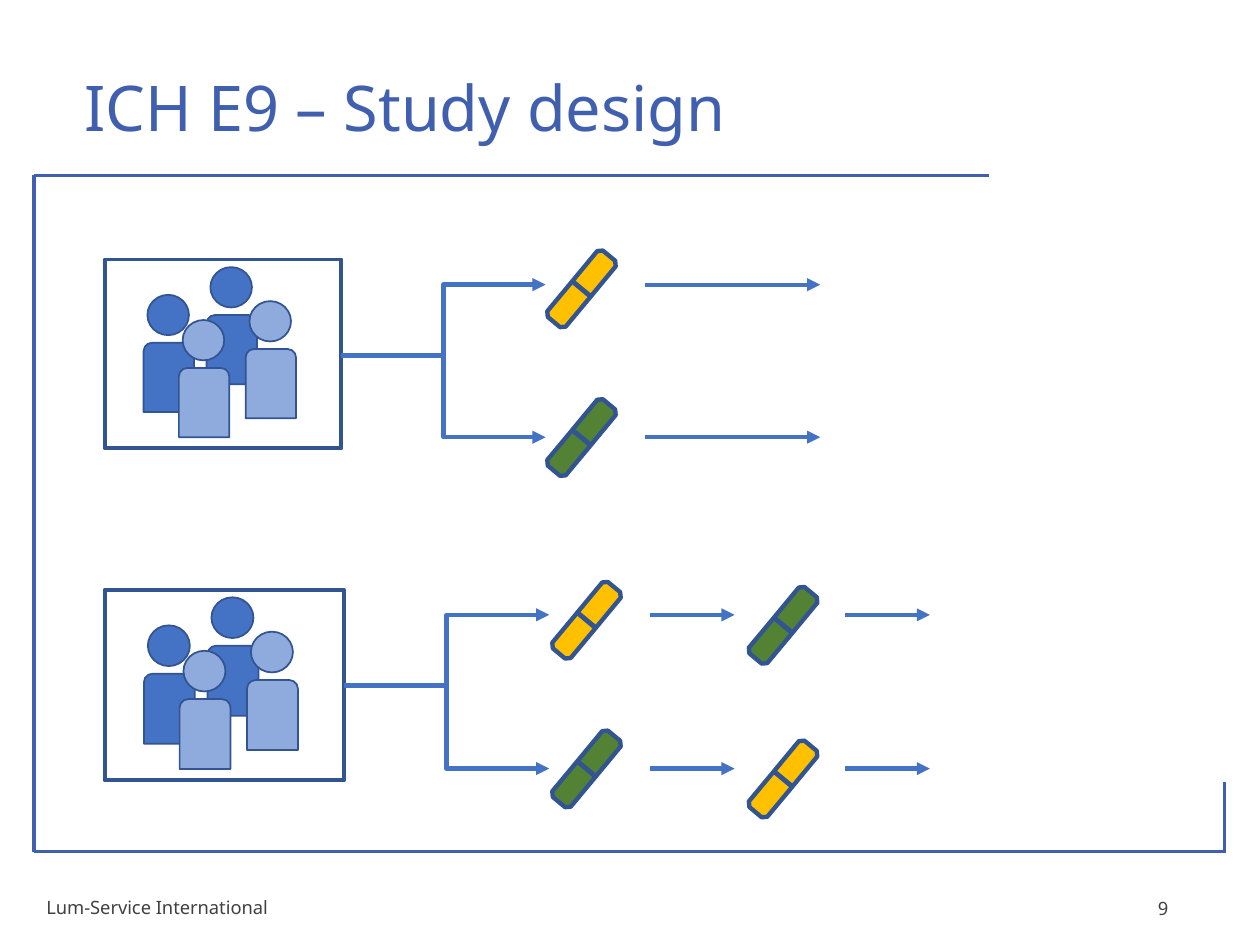
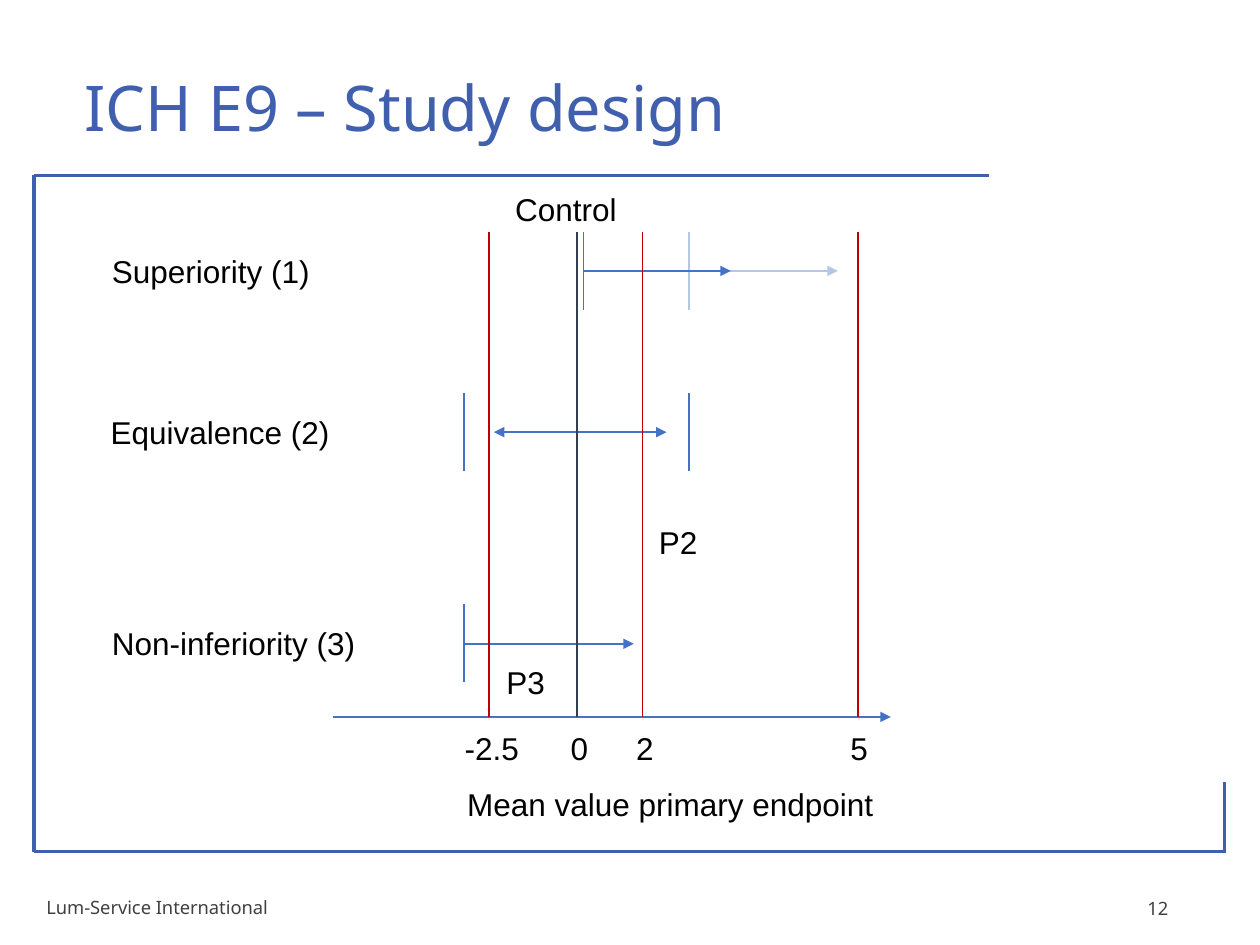
from lxml.etree import SubElement as Sub
from pptx import Presentation
from pptx.dml.color import RGBColor
from pptx.enum.shapes import MSO_CONNECTOR as Link, MSO_SHAPE as Geo
from pptx.enum.text import MSO_ANCHOR as Anchor, PP_ALIGN as Align
from pptx.oxml.ns import qn
from pptx.util import Inches, Pt

# Shared colours
FRAME = "4060AF"
GREY = "404040"
BLUE = "4472C4"
PALE = "8FAADC"
FAINT = "B4C7E7"
EDGE = "325491"
GOLD = "FFC000"
GREEN = "548235"
RED = "C00000"
SLATE = "333F50"


def color(code):
    return RGBColor.from_string(code)


def text(slide, words, x, y, w, h=0.4, *, font="Arial", size=18, ink="000000",
         align=Align.LEFT, anchor=Anchor.TOP, wrap=False, space=1.0):
    box = slide.shapes.add_textbox(Inches(x), Inches(y), Inches(w), Inches(h))
    frame = box.text_frame
    frame.word_wrap = wrap
    frame.vertical_anchor = anchor
    para = frame.paragraphs[0]
    para.alignment = align
    para.line_spacing = space
    run = para.add_run()
    run.text = words
    run.font.name = font
    run.font.size = Pt(size)
    run.font.color.rgb = color(ink)


def shape(slide, geo, x, y, w, h, fill=None, width=1, turn=0):
    item = slide.shapes.add_shape(geo, Inches(x), Inches(y), Inches(w), Inches(h))
    item.shadow.inherit = False
    item.rotation = turn
    if fill:
        item.fill.solid()
        item.fill.fore_color.rgb = color(fill)
    else:
        item.fill.background()
    item.line.color.rgb = color(EDGE)
    item.line.width = Pt(width)


def line(slide, x1, y1, x2, y2, ink=BLUE, width=1, ends=(), kind=Link.STRAIGHT):
    item = slide.shapes.add_connector(
        kind, Inches(x1), Inches(y1), Inches(x2), Inches(y2))
    item.line.color.rgb = color(ink)
    item.line.width = Pt(width)
    props = item.element.spPr
    for end in ends:
        Sub(props.find(qn("a:ln")), qn(f"a:{end}"), type="triangle")
    Sub(props, qn("a:effectLst"))


def arrow(slide, x1, y1, x2, y2, ink=BLUE, width=1, kind=Link.STRAIGHT):
    line(slide, x1, y1, x2, y2, ink, width, ["tailEnd"], kind)


def base(deck, number):
    """Add a slide with the frame, title and footer that all slides share."""
    slide = deck.slides.add_slide(deck.slide_layouts[6])
    for ends in ((0.27, 1.39, 7.85, 1.39), (0.27, 6.76, 9.71, 6.76),
                 (0.27, 1.39, 0.27, 6.76), (9.72, 6.77, 9.72, 6.21)):
        line(slide, *ends, FRAME, 1.75)
    look = dict(font="Noto Sans", anchor=Anchor.MIDDLE, wrap=True)
    text(slide, "ICH E9 – Study design", 0.57, 0.51, 7.12, 0.75,
         size=36, ink=FRAME, space=0.9, **look)
    look.update(size=10.5, ink=GREY)
    text(slide, "Lum-Service International", 0.27, 7, 3.38, **look)
    text(slide, str(number), 7.12, 7.01, 2.25, align=Align.RIGHT, **look)
    return slide


def crowd(slide, x, y, scale):
    """Draw four people in a box."""
    people = ((0.31, 0.66, BLUE), (0.81, 0.44, BLUE),
              (0.59, 0.86, PALE), (1.12, 0.71, PALE))
    for dx, dy, fill in people:
        left, top = x + dx * scale, y + dy * scale
        shape(slide, Geo.ROUND_2_SAME_RECTANGLE, left, top,
              0.4 * scale, 0.55 * scale, fill)
        shape(slide, Geo.OVAL, left + 0.03, top - 0.38 * scale,
              0.33 * scale, 0.32 * scale, fill)
    shape(slide, Geo.RECTANGLE, x, y, 1.88 * scale, 1.5 * scale, width=2.25)


def split(slide, x, y, tip, rows):
    """Branch from a crowd to its two study arms."""
    for row in rows:
        arrow(slide, x, y, tip, row, width=2.5, kind=Link.ELBOW)


def pill(slide, x, y, fill):
    for dx, dy, turn in ((0, 0, 39.6), (-0.22, 0.265, 219.8)):
        shape(slide, Geo.SNIP_2_SAME_RECTANGLE, x + dx, y + dy,
              0.19, 0.34, fill, 2.5, turn)


def arms(deck):
    slide = base(deck, 9)

    # Parallel groups
    rows = (2.26, 3.47)
    crowd(slide, 0.83, 2.06, 1)
    split(slide, 2.71, 2.82, 4.33, rows)
    pill(slide, 4.63, 1.99, GOLD)
    pill(slide, 4.63, 3.17, GREEN)
    for row in rows:
        arrow(slide, 5.12, row, 6.51, row, width=2.5)

    # Crossover groups
    rows = (4.88, 6.1)
    crowd(slide, 0.83, 4.68, 1.01)
    split(slide, 2.73, 5.44, 4.36, rows)
    for x, y, fill in ((4.67, 4.62, GOLD), (4.67, 5.8, GREEN),
                       (6.23, 4.66, GREEN), (6.23, 5.88, GOLD)):
        pill(slide, x, y, fill)
    for row in rows:
        for x in (5.16, 6.71):
            arrow(slide, x, row, x + 0.67, row, width=2.5)


def ranges(deck):
    slide = base(deck, 12)
    top, axis = 1.84, 5.69

    # Interval limits
    for x, y, ink in ((5.47, top, FAINT), (4.63, top, BLUE), (5.47, 3.12, BLUE),
                      (3.68, 3.12, BLUE), (3.68, 4.79, BLUE)):
        line(slide, x, y, x, y + 0.62, ink)

    # Intervals
    arrow(slide, 5.49, 2.15, 6.65, 2.15, FAINT)
    arrow(slide, 4.63, 2.15, 5.8, 2.15)
    line(slide, 3.92, 3.43, 5.29, 3.43, ends=("headEnd", "tailEnd"))
    arrow(slide, 3.69, 5.11, 5.03, 5.11)

    # Axis with its marks
    arrow(slide, 2.64, axis, 7.07, axis)
    for x, ink in ((4.58, SLATE), (6.81, RED), (5.1, RED), (3.88, RED)):
        line(slide, x, top, x, axis, ink)
    for mark, x, w in (("-2.5", 3.59, 0.64), ("0", 4.43, 0.34),
                       ("2", 4.95, 0.34), ("5", 6.65, 0.34)):
        text(slide, mark, x, 5.74, w)

    # Labels
    for words, x, y, w in (("Mean value primary endpoint", 3.61, 6.18, 3.46),
                           ("Control", 3.99, 1.46, 1.02),
                           ("Superiority (1)", 0.79, 1.95, 1.79),
                           ("Equivalence (2)", 0.78, 3.23, 1.96),
                           ("Non-inferiority (3)", 0.79, 4.9, 2.15),
                           ("P2", 5.13, 4.1, 0.51), ("P3", 3.92, 5.21, 0.51)):
        text(slide, words, x, y, w)


def main():
    deck = Presentation()
    deck.slide_width = Inches(10)
    deck.slide_height = Inches(7.5)
    arms(deck)
    ranges(deck)
    deck.save("out.pptx")


if __name__ == "__main__":
    main()
